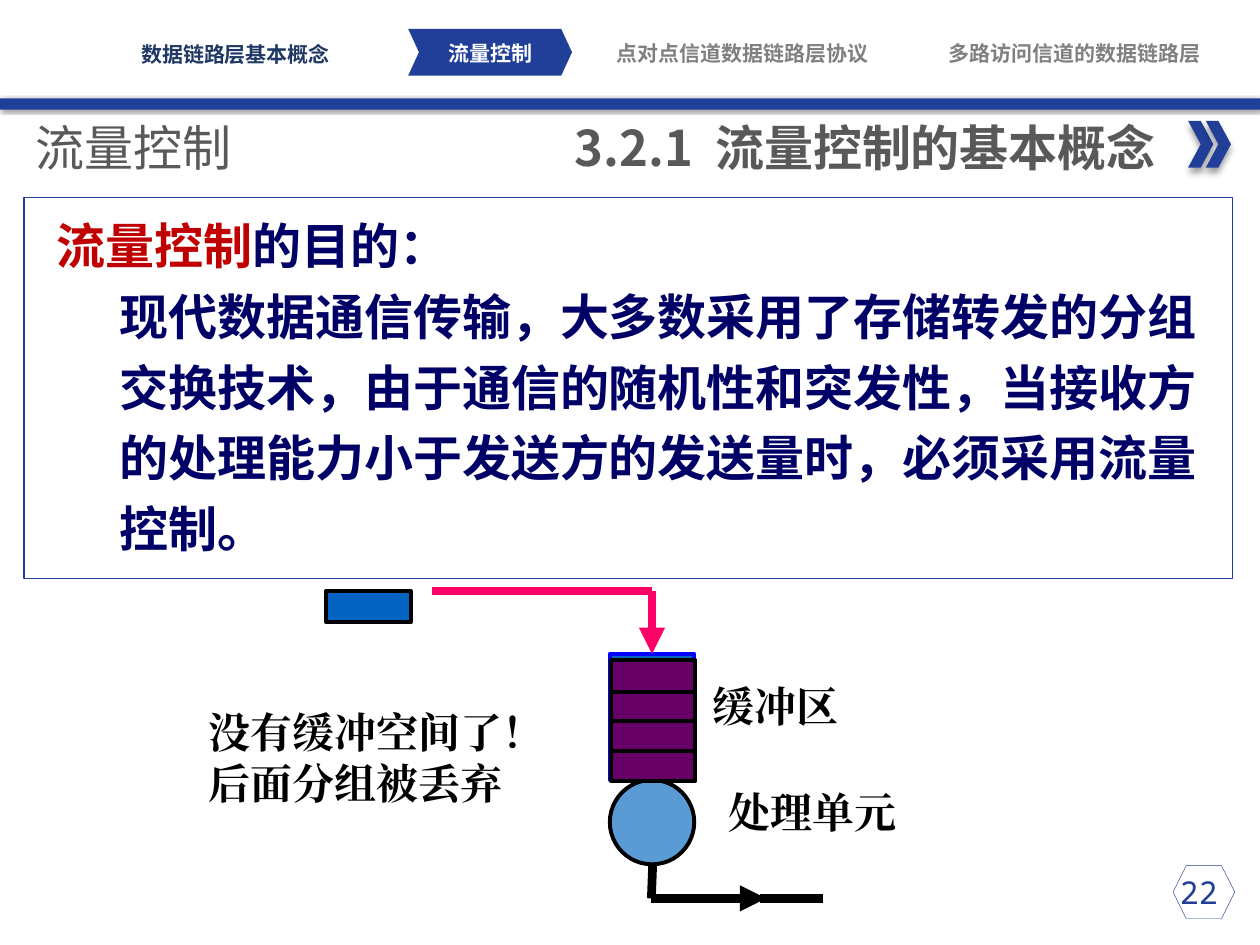
from lxml import etree
from pptx import Presentation
from pptx.dml.color import RGBColor
from pptx.enum.shapes import MSO_CONNECTOR, MSO_SHAPE
from pptx.enum.text import MSO_ANCHOR, MSO_AUTO_SIZE, PP_ALIGN
from pptx.oxml.ns import qn
from pptx.util import Inches, Pt

RECTANGLE, OVAL = MSO_SHAPE.RECTANGLE, MSO_SHAPE.OVAL
CHEVRON, HEXAGON = MSO_SHAPE.CHEVRON, MSO_SHAPE.HEXAGON
STRAIGHT = MSO_CONNECTOR.STRAIGHT
LEFT, CENTER, RIGHT = PP_ALIGN.LEFT, PP_ALIGN.CENTER, PP_ALIGN.RIGHT
TOP, MIDDLE = MSO_ANCHOR.TOP, MSO_ANCHOR.MIDDLE
FIXED, GROW = MSO_AUTO_SIZE.NONE, MSO_AUTO_SIZE.SHAPE_TO_FIT_TEXT

BLUE = RGBColor(0x21, 0x3F, 0x99)
NAVY = RGBColor(0x00, 0x00, 0x66)
DARK_BLUE = RGBColor(0x20, 0x38, 0x64)
SLOT_BLUE = RGBColor(0x05, 0x63, 0xC1)
EDGE_BLUE = RGBColor(0x00, 0x00, 0xFF)
SKY = RGBColor(0x5B, 0x9B, 0xD5)
RED = RGBColor(0xC0, 0x00, 0x00)
PINK = RGBColor(0xFF, 0x00, 0x66)
PURPLE = RGBColor(0x66, 0x00, 0x66)
GRAY = RGBColor(0x80, 0x80, 0x80)
DARK_GRAY = RGBColor(0x59, 0x59, 0x59)
BLACK = RGBColor(0, 0, 0)
WHITE = RGBColor(255, 255, 255)

SANS, NARROW = "Noto Sans CJK SC", "Arial Narrow"
MONO, SERIF = "Noto Sans Mono", "Times New Roman"
CELL = Inches(0.1)  # the page is a grid of 100 columns by 75 rows


def grid(*lengths):
    return [round(length * CELL) for length in lengths]


def write(para, text, size=28, font=SANS, color=BLACK, bold=False):
    span = para.add_run()
    span.text = text
    span.font.size, span.font.name, span.font.bold = Pt(size), font, bold
    span.font.color.rgb = color
    etree.SubElement(span.font._element, qn("a:ea"), typeface=font)


class Page:
    def __init__(self, deck):
        self.slide = deck.slides.add_slide(deck.slide_layouts[1])
        self.shapes = self.slide.shapes

    def shape(self, kind, area, fill=None, line=None, weight=2.25, shadow=None):
        shape = self.shapes.add_shape(kind, *grid(*area))
        shape.shadow.inherit = False
        if fill is None:
            shape.fill.background()
        else:
            shape.fill.solid()
            shape.fill.fore_color.rgb = fill
        if line is None:
            shape.line.fill.background()
        else:
            shape.line.color.rgb, shape.line.width = line, Pt(weight)
        if shadow:
            self.cast_shadow(shape, *shadow)
        return shape

    def cast_shadow(self, shape, blur, distance, angle):
        effects = shape._element.spPr.find(qn("a:effectLst"))
        outer = etree.SubElement(effects, qn("a:outerShdw"), blurRad=str(Pt(blur)),
                                 dist=str(Pt(distance)), dir=str(angle * 60000),
                                 algn="ctr", rotWithShape="0")
        color = etree.SubElement(outer, qn("a:srgbClr"), val="000000")
        etree.SubElement(color, qn("a:alpha"), val="40000")

    def frame(self, holder, area, anchor=TOP, fit=FIXED):
        holder.left, holder.top, holder.width, holder.height = grid(*area)
        frame = holder.text_frame
        frame.word_wrap, frame.auto_size = True, fit
        frame.vertical_anchor = anchor
        return frame

    def label(self, area, *lines, align=LEFT, anchor=TOP, fit=GROW, inset=True, **style):
        frame = self.frame(self.shapes.add_textbox(0, 0, 0, 0), area, anchor, fit)
        if not inset:
            frame.margin_left = frame.margin_right = 0
            frame.margin_top = frame.margin_bottom = 0
        for index, text in enumerate(lines):
            para = frame.add_paragraph() if index else frame.paragraphs[0]
            para.alignment = align
            write(para, text, **style)

    def title(self, area, text, indent, **style):
        frame = self.frame(self.shapes.title, area, MIDDLE)
        frame.margin_left = grid(indent)[0]
        frame.paragraphs[0].alignment = LEFT
        write(frame.paragraphs[0], text, **style)

    def body(self, area, paragraphs):
        """Each paragraph is a level, a left indent and (text, colour) spans."""
        frame = self.frame(self.slide.placeholders[1], area)
        for index, (level, indent, spans) in enumerate(paragraphs):
            para = frame.add_paragraph() if index else frame.paragraphs[0]
            para.level, para.line_spacing = level, 1.2
            para.space_before = Pt(0)
            properties = para._p.get_or_add_pPr()
            properties.set("marL", str(grid(indent)[0]))
            properties.set("indent", "0")
            etree.SubElement(properties, qn("a:buNone"))
            for text, color in spans:
                write(para, text, color=color, bold=True)

    def line(self, start, end, color, arrow=False, target=None):
        line = self.shapes.add_connector(STRAIGHT, *grid(*start, *end))
        line.line.color.rgb, line.line.width = color, Pt(5)
        if arrow:
            etree.SubElement(line.line._get_or_add_ln(), qn("a:tailEnd"), type="triangle")
        etree.SubElement(line._element.spPr, qn("a:effectLst"))
        if target is not None:
            line.end_connect(target, 0)


def main():
    deck = Presentation()
    deck.slide_width, deck.slide_height = grid(100, 75)
    page = Page(deck)

    # Header bar and chapter navigation
    page.shape(RECTANGLE, (0, 7.8, 100, 0.9), BLUE, shadow=(2, 1, 45))
    tab = page.shape(CHEVRON, (32.4, 2.3, 13, 3.7), BLUE)
    tab.adjustments[0] = 0.23
    for left, top, width, text, color in (
            (47.9, 3.2, 22.1, "点对点信道数据链路层协议", GRAY),
            (9.2, 3.3, 19, "数据链路层基本概念", DARK_BLUE),
            (32.4, 3.2, 13, "流量控制", WHITE),
            (75.1, 3.2, 20.4, "多路访问信道的数据链路层", GRAY)):
        page.label((left, top, width, 2), text, align=CENTER, anchor=MIDDLE,
                   inset=False, size=12, font=NARROW, color=color, bold=True)

    # Title, section heading and double chevron
    page.title((0, 9.2, 25.9, 4.9), "流量控制", indent=2.8, color=DARK_GRAY)
    page.label((43, 8.8, 49.7, 5.7), "3.2.1  流量控制的基本概念",
               align=RIGHT, color=DARK_GRAY, bold=True)
    page.shapes.add_group_shape([
        page.shape(CHEVRON, (left, 9.6, 2, 3.7), BLUE, shadow=(4, 3, 90))
        for left in (94.3, 95.7)])

    # Purpose of flow control
    page.shape(RECTANGLE, (1.9, 15.7, 95.9, 30.2), line=BLUE, weight=0.75)
    page.body((3.5, 15.7, 92.9, 30.2), [
        (0, 0, [("流量控制", RED), ("的目的：", NAVY)]),
        (1, 5, [("现代数据通信传输，大多数采用了存储转发的分组交换技术，"
                 "由于通信的随机性和突发性，当接收方的处理能力小于发送方的发送量时，"
                 "必须采用流量控制。", NAVY)])])

    # Processing unit and buffer slots, from the bottom up
    slot_width, slot_height = 6.7, 2.5
    page.shape(OVAL, (48.4, 61.9, slot_width, 6.7), SKY, BLACK)
    for row in range(4):
        top_slot = page.shape(RECTANGLE, (48.4, 59.4 - row * slot_height, slot_width,
                                          slot_height), SLOT_BLUE, EDGE_BLUE)

    # Outgoing and incoming flow
    page.line((51.8, 68.6), (51.7, 71.3), BLACK)
    page.line((51.7, 71.3), (60.8, 71.3), BLACK, arrow=True)
    page.line((60.3, 71.3), (65.3, 71.3), BLACK)
    page.line((34.3, 46.9), (51.75, 46.9), PINK)
    page.line((51.75, 46.9), (51.75, 51.9), PINK, arrow=True, target=top_slot)

    # Packets filling the buffer, and one waiting outside
    for row in range(4):
        page.shape(RECTANGLE, (48.5, 59.5 - row * 2.37, slot_width, slot_height),
                   PURPLE, BLACK)
    page.shape(RECTANGLE, (25.9, 46.9, slot_width, slot_height), SLOT_BLUE, BLACK)

    # Diagram labels
    for area, *lines in (
            ((56.8, 61.9, 17.2, 5), "处理单元"),
            ((15.6, 55.6, 30.2, 9.1), "没有缓冲空间了！", "后面分组被丢弃"),
            ((55.6, 53.5, 14.5, 5), "缓冲区")):
        page.label(area, *lines, size=24, font=SERIF, bold=True)

    # Page number
    page.label((90.8, 68.8, 8.7, 4), "22", align=CENTER, fit=FIXED,
               size=18, font=MONO, color=BLUE)
    page.shape(HEXAGON, (93.1, 68.7, 4.9, 4.2), line=BLUE, weight=0.25)

    deck.save("out.pptx")


if __name__ == "__main__":
    main()
